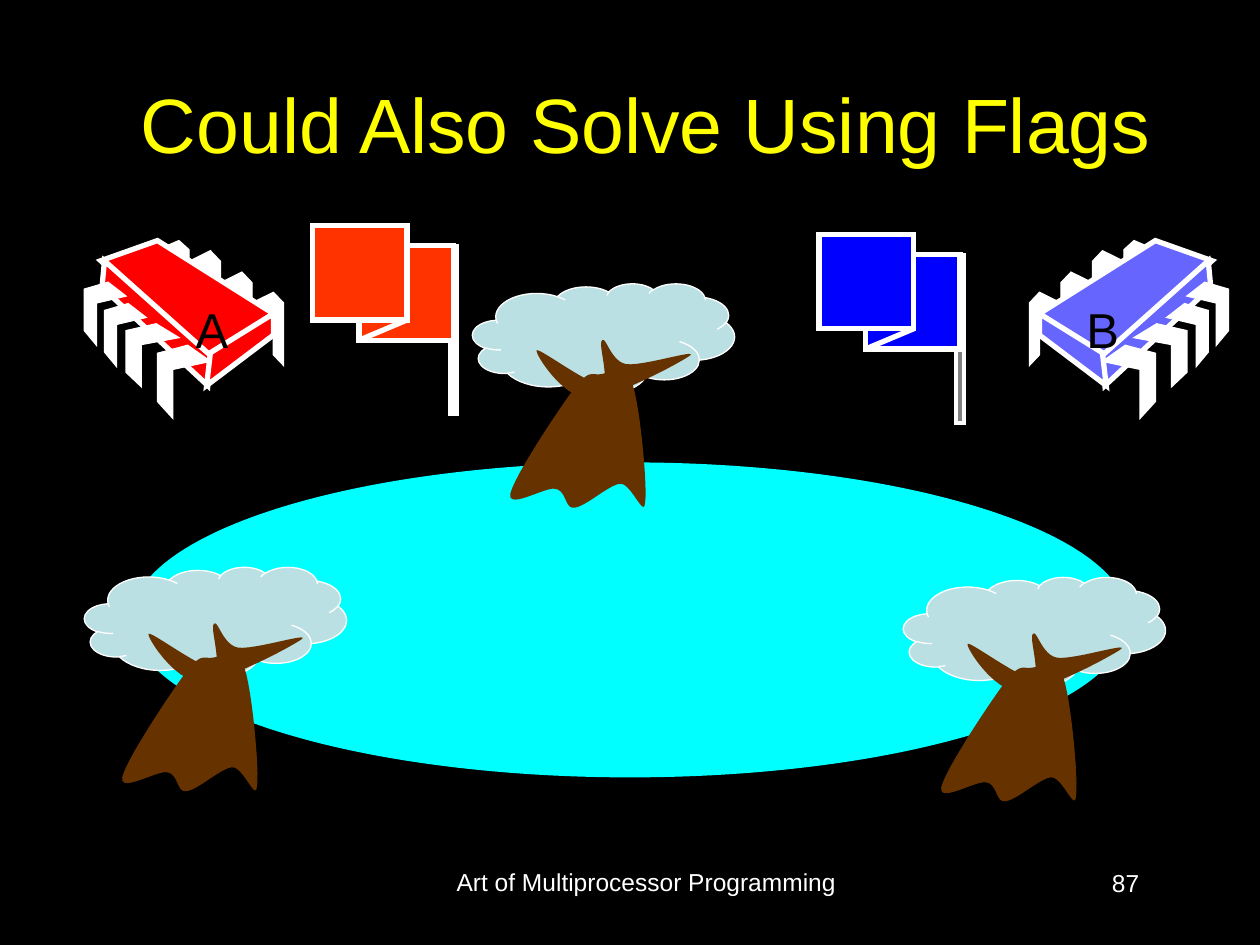
from pptx import Presentation
from pptx.dml.color import RGBColor
from pptx.enum.shapes import MSO_CONNECTOR, MSO_SHAPE
from pptx.enum.text import MSO_ANCHOR, PP_ALIGN
from pptx.oxml.ns import qn
from pptx.util import Cm, Pt

WHITE, BLACK, BROWN = "FFFFFF", "000000", "663300"
FLIP = 10.42  # left edge plus right edge of the two mirrored chips

# Pin outlines as fractions of the pin's box
BACK = [(0, .145), (.68, 0), (1, .145), (1, 1), (.68, .855), (.68, .29), (0, .43)]
FRONT = [(.57, 0), (1, .22), (.29, .33), (.29, 1), (0, .77), (0, .11)]
BACK_PINS = [(2, 2.32, .25, .58), (1.75, 2.16, .25, .58),
             (1.5, 1.99, .25, .58), (1.25, 1.91, .25, .5)]
FRONT_PINS = [(1.25, 2.74, .42, .58), (1, 2.57, .42, .5),
              (.83, 2.41, .33, .5), (.67, 2.24, .33, .5)]
FACES = [
    [(1.25, 1.91), (2.17, 2.49), (1.65, 2.84), (.8, 2.07)],
    [(.83, 2.07), (1.67, 2.82), (1.65, 3.06), (.81, 2.28)],
    [(2.17, 2.49), (2.17, 2.66), (1.64, 3.06), (1.67, 2.8)],
]

# Tree outlines, measured from the crown's corner: a start, then cubic curves
TRUNK = [(.81, .83),
         (.93, .68), (.94, .73), (1.02, .72), (1.09, .71), (1.21, .63), (1.27, .8),
         (1.33, .97), (1.39, 1.61), (1.37, 1.74), (1.36, 1.87), (1.26, 1.58), (1.17, 1.59),
         (1.08, 1.6), (.9, 1.77), (.81, 1.78), (.73, 1.79), (.75, 1.65), (.66, 1.63),
         (.58, 1.61), (.28, 1.8), (.3, 1.67), (.33, 1.53), (.69, .99), (.81, .83)]
BOUGHS = [(.51, .53),
          (.49, .55), (.71, .9), (.91, .91), (1.12, .92), (1.68, .61), (1.73, .57),
          (1.78, .52), (1.34, .66), (1.22, .64), (1.1, .62), (1.06, .42), (1.03, .45),
          (.99, .47), (1.1, .78), (1.02, .8), (.93, .81), (.53, .51), (.51, .53)]


def inch(val):
    return Cm(val * 2.54)


def color(code):
    return RGBColor.from_string(code)


def edge(shape, code, width):
    """Draw a sharp-cornered line around the shape."""
    shape.line.color.rgb = color(code)
    shape.line.width = Pt(width)
    line = shape.line._ln
    line.append(line.makeelement(qn("a:miter"), {"lim": "800000"}))


def paint(shape, fill, width=0):
    shape.shadow.inherit = False
    shape.fill.solid()
    shape.fill.fore_color.rgb = color(fill)
    if width:
        edge(shape, WHITE, width)
    else:
        shape.line.fill.background()


def solid(shapes, kind, box, fill, width=0):
    shape = shapes.add_shape(kind, *map(inch, box))
    paint(shape, fill, width)
    return shape


def outline(shapes, points, fill, width=0):
    spots = [(inch(x), inch(y)) for x, y in points]
    pen = shapes.build_freeform(*spots[0], scale=1.0)
    pen.add_line_segments(spots[1:], close=True)
    paint(pen.convert_to_shape(), fill, width)


def curve(points, steps=12):
    """Turn a chain of cubic curves into a list of points."""
    path = [points[0]]
    for i in range(0, len(points) - 1, 3):
        four = points[i:i + 4]
        for n in range(1, steps + 1):
            t = n / steps
            u = 1 - t
            parts = (u ** 3, 3 * u * u * t, 3 * u * t * t, t ** 3)
            path.append(tuple(sum(k * p[a] for k, p in zip(parts, four))
                              for a in (0, 1)))
    return path


def chip(slide, fill, flip=False):
    shapes = slide.shapes.add_group_shape().shapes

    def part(points, tint, width):
        if flip:
            points = [(FLIP - x, y) for x, y in points]
        outline(shapes, points, tint, width)

    def pins(boxes, form):
        for x, y, w, h in boxes:
            part([(x + w * a, y + h * b) for a, b in form], WHITE, .75)

    pins(BACK_PINS, BACK)
    for face in FACES:
        part(face, fill, 3)
    pins(FRONT_PINS, FRONT)


def tree(slide, left, top):
    shapes = slide.shapes.add_group_shape().shapes
    crown = solid(shapes, MSO_SHAPE.CLOUD_CALLOUT, (left, top, 2.08, .87),
                  "BBE0E3", .75)
    crown.adjustments[0], crown.adjustments[1] = .018, .493
    for form in (TRUNK, BOUGHS):
        outline(shapes, [(left + x, top + y) for x, y in curve(form)], BROWN)


def flag(slide, left, top, fill, pole):
    shapes = slide.shapes.add_group_shape().shapes
    box, size, step, drop = MSO_SHAPE.RECTANGLE, .75, .37, .16
    solid(shapes, box, (left + 1.09, top + drop, .06, 1.34), pole, 2.25)
    solid(shapes, box, (left + step, top + drop, size, size), fill, 3)
    fold = shapes.add_connector(
        MSO_CONNECTOR.STRAIGHT,
        inch(left + step), inch(top + drop + size),
        inch(left + size), inch(top + size))
    edge(fold, WHITE, 3)
    props = fold._element.spPr
    props.append(props.makeelement(qn("a:effectLst"), {}))
    solid(shapes, box, (left, top, size, size), fill, 3)


def label(slide, text, box, size, fill, align, anchor=MSO_ANCHOR.TOP, wrap=True):
    frame = slide.shapes.add_textbox(*map(inch, box)).text_frame
    frame.word_wrap = wrap
    frame.vertical_anchor = anchor
    frame.text = text
    para = frame.paragraphs[0]
    para.alignment = align
    font = para.runs[0].font
    font.name, font.size = "Arial", Pt(size)
    font.color.rgb = color(fill)


def main():
    deck = Presentation()
    deck.slide_width, deck.slide_height = inch(10), inch(7.5)
    slide = deck.slides.add_slide(deck.slide_layouts[6])
    back = slide.background.fill
    back.solid()
    back.fore_color.rgb = color(BLACK)

    label(slide, "87", (7.06, 6.84, 2.08, .5), 14, WHITE, PP_ALIGN.RIGHT)
    label(slide, "Could Also Solve Using Flags", (.88, .35, 8.5, 1.25), 44,
          "FFFF00", PP_ALIGN.CENTER, MSO_ANCHOR.MIDDLE)
    chip(slide, "FF0000")
    chip(slide, "6666FF", flip=True)
    solid(slide.shapes, MSO_SHAPE.OVAL, (1.04, 3.67, 7.92, 2.5), "00FFFF")
    for name, left in (("A", 1.45), ("B", 8.52)):
        label(slide, name, (left, 2.33, .46, .57), 28, BLACK,
              PP_ALIGN.RIGHT, wrap=False)
    for left, top in ((3.75, 2.25), (7.17, 4.58), (.67, 4.5)):
        tree(slide, left, top)
    flag(slide, 6.5, 1.86, "0000FF", "808080")
    flag(slide, 2.48, 1.79, "FF3300", WHITE)
    label(slide, "Art of Multiprocessor Programming", (3.42, 6.83, 3.42, .52),
          14, WHITE, PP_ALIGN.CENTER)
    deck.save("out.pptx")


if __name__ == "__main__":
    main()
